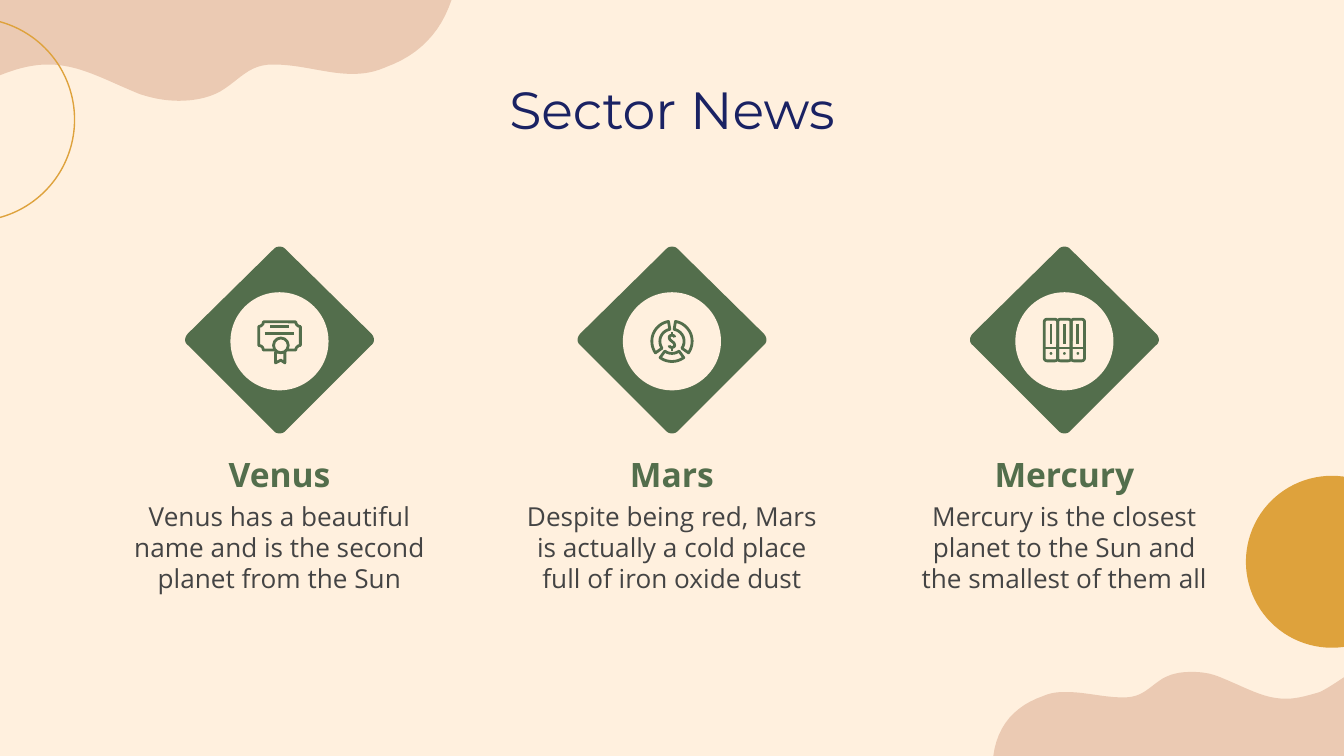
from math import cos, radians, sin
from typing import Callable, NamedTuple

from lxml import etree
from pptx import Presentation
from pptx.dml.color import RGBColor
from pptx.enum import shapes, text
from pptx.oxml.ns import qn
from pptx.util import Inches, Pt

COLORS = {"cream": "FFF0DE", "blush": "EBCAB3", "gold": "DEA23C",
          "green": "536E4C", "navy": "1A2263", "grey": "444444"}
STROKE = 1.5
KIND = shapes.MSO_SHAPE
Point = tuple[float, float]

TITLE = {"name": "Montserrat", "size": Pt(28), "bold": False}
HEADING = {"name": "Open Sans", "size": Pt(18), "bold": True}
BODY = {"name": "Open Sans", "size": Pt(14), "bold": False}


class Blob(NamedTuple):
    """A start point, then line ends (2 numbers) or cubic curves (6 numbers)."""
    start: Point
    segments: list[tuple[float, ...]]


class Planet(NamedTuple):
    name: str
    fact: str
    icon: Callable


BLOBS = [
    Blob((10, 5.63), [
        (10, 5.04), (9.94, 5.08, 9.88, 5.12, 9.82, 5.15),
        (9.72, 5.18, 9.64, 5.2, 9.57, 5.2), (9.4, 5.2, 9.28, 5.12, 9.08, 5.04),
        (9.01, 5.01, 8.94, 5, 8.87, 5), (8.79, 5, 8.72, 5.01, 8.65, 5.05),
        (8.54, 5.12, 8.5, 5.19, 8.36, 5.19), (8.21, 5.19, 8.08, 5.15, 7.94, 5.15),
        (7.88, 5.15, 7.83, 5.15, 7.76, 5.18), (7.56, 5.25, 7.42, 5.39, 7.39, 5.63)]),
    Blob((0, 0), [
        (0, 0.56), (0.15, 0.5, 0.26, 0.48, 0.36, 0.48),
        (0.59, 0.48, 0.77, 0.59, 1.04, 0.7), (1.13, 0.73, 1.23, 0.75, 1.33, 0.75),
        (1.44, 0.75, 1.55, 0.73, 1.64, 0.68), (1.79, 0.59, 1.85, 0.48, 2.03, 0.48),
        (2.25, 0.48, 2.43, 0.55, 2.62, 0.55), (2.7, 0.55, 2.78, 0.54, 2.87, 0.5),
        (3.12, 0.41, 3.28, 0.24, 3.36, 0)]),
]
DIAMOND = Blob((-0.04, -0.68), [
    (-0.68, -0.05), (-0.71, -0.02, -0.71, 0.02, -0.68, 0.04),
    (-0.04, 0.68), (-0.02, 0.7, 0.02, 0.7, 0.04, 0.68),
    (0.68, 0.04), (0.71, 0.02, 0.71, -0.02, 0.68, -0.05),
    (0.04, -0.68), (0.02, -0.7, -0.02, -0.7, -0.04, -0.68)])
DOLLAR = Blob((0.02, -0.03), [
    (0.02, -0.05, -0.02, -0.05, -0.02, -0.03),
    (-0.02, 0, 0.02, 0, 0.02, 0.03), (0.02, 0.05, -0.02, 0.05, -0.02, 0.03)])


def rgb(name: str) -> RGBColor:
    return RGBColor.from_string(COLORS[name])


def trace(blob: Blob, steps: int = 12) -> list[Point]:
    """Turn the curves of a blob into short straight steps."""
    pts = [blob.start]
    for seg in blob.segments:
        if len(seg) == 2:
            pts.append(seg)
            continue
        x0, y0 = pts[-1]
        x1, y1, x2, y2, x3, y3 = seg
        for t in (i / steps for i in range(1, steps + 1)):
            a, b, c, d = (1 - t)**3, 3 * t * (1 - t)**2, 3 * t * t * (1 - t), t**3
            pts.append((a * x0 + b * x1 + c * x2 + d * x3,
                        a * y0 + b * y1 + c * y2 + d * y3))
    return pts


def paint(sp, fill: str | None, line: str | None = None, width: float = STROKE):
    sp.shadow.inherit = False
    for part, color in ((sp.fill, fill), (sp.line.fill, line)):
        if color:
            part.solid()
            part.fore_color.rgb = rgb(color)
        else:
            part.background()
    if line:
        sp.line.width = Pt(width)


def outline(tree, pts: list[Point], cx: float = 0, cy: float = 0,
            fill: str | None = None, line: str | None = None, close: bool = True):
    pts = [(Inches(cx + x), Inches(cy + y)) for x, y in pts]
    builder = tree.build_freeform(*pts[0])
    builder.add_line_segments(pts[1:], close=close)
    paint(builder.convert_to_shape(), fill, line)


def preset(tree, kind, cx: float, cy: float, w: float, h: float,
           fill: str | None = None, line: str | None = None, width: float = STROKE):
    """Add a preset shape by its centre."""
    sp = tree.add_shape(kind, *map(Inches, (cx - w / 2, cy - h / 2, w, h)))
    paint(sp, fill, line, width)
    return sp


def stroke(tree, x1: float, y1: float, x2: float, y2: float):
    cn = tree.add_connector(shapes.MSO_CONNECTOR.STRAIGHT, *map(Inches, (x1, y1, x2, y2)))
    cn.line.color.rgb = rgb("green")
    cn.line.width = Pt(STROKE)
    etree.SubElement(cn._element.spPr, qn("a:effectLst"))


def certificate_icon(tree, cx: float, cy: float):
    preset(tree, KIND.PLAQUE, cx, cy - 0.04, 0.31, 0.21, line="green")
    ribbon = [(-0.03, 0.08), (-0.03, 0.16), (0.01, 0.14), (0.04, 0.16), (0.04, 0.08)]
    outline(tree, ribbon, cx, cy, "cream", "green")
    preset(tree, KIND.OVAL, cx + 0.01, cy + 0.03, 0.11, 0.11, "cream", "green")
    stroke(tree, cx - 0.07, cy - 0.11, cx + 0.07, cy - 0.11)
    stroke(tree, cx - 0.11, cy - 0.06, cx + 0.11, cy - 0.06)


def money_ring_icon(tree, cx: float, cy: float):
    outer, inner, steps = 0.15, 0.09, 16
    for start, end in ((145, 260), (280, 395), (54, 126)):
        angles = [radians(start + (end - start) * i / steps) for i in range(steps + 1)]
        ring = [(outer * cos(a), outer * sin(a)) for a in angles]
        ring += [(inner * cos(a), inner * sin(a)) for a in reversed(angles)]
        outline(tree, ring, cx, cy, line="green")
    outline(tree, trace(DOLLAR), cx, cy, line="green", close=False)
    for side in (-1, 1):
        stroke(tree, cx, cy + side * 0.04, cx, cy + side * 0.07)


def binders_icon(tree, cx: float, cy: float):
    for x in (cx - 0.1, cx, cx + 0.1):
        sp = preset(tree, KIND.ROUNDED_RECTANGLE, x, cy - 0.01, 0.1, 0.31, line="green")
        sp.adjustments[0] = 0.2
        stroke(tree, x, cy - 0.13, x, cy + 0.02)
        stroke(tree, x - 0.05, cy + 0.05, x + 0.05, cy + 0.05)
        preset(tree, KIND.OVAL, x, cy + 0.09, 0.02, 0.02, "green")


def write(sp, words: str, fmt: dict, color: str, anchor=text.MSO_ANCHOR.TOP):
    tf = sp.text_frame
    frame = {"word_wrap": True, "auto_size": text.MSO_AUTO_SIZE.NONE,
             "vertical_anchor": anchor}
    frame |= {f"margin_{side}": Inches(0.1) for side in ("left", "right", "top", "bottom")}
    for key, value in frame.items():
        setattr(tf, key, value)
    p = tf.paragraphs[0]
    p.alignment = text.PP_ALIGN.CENTER
    r = p.add_run()
    r.text = words
    for key, value in fmt.items():
        setattr(r.font, key, value)
    r.font.color.rgb = rgb(color)


def add_planet(tree, planet: Planet, cx: float):
    cy, w = 2.53, 2.47
    outline(tree, trace(DIAMOND), cx, cy, "green")
    preset(tree, KIND.OVAL, cx, cy + 0.01, 0.73, 0.73, "cream")
    planet.icon(tree.add_group_shape().shapes, cx, cy + 0.01)
    for top, h, words, fmt, color in (
            (3.28, 0.43, planet.name, HEADING, "green"),
            (3.62, 0.8, planet.fact, BODY, "grey")):
        box = tree.add_textbox(*map(Inches, (cx - w / 2, top, w, h)))
        write(box, words, fmt, color)


PLANETS = [
    Planet("Venus", "Venus has a beautiful name and is the second planet from the Sun",
           certificate_icon),
    Planet("Mars", "Despite being red, Mars is actually a cold place full of iron oxide dust",
           money_ring_icon),
    Planet("Mercury", "Mercury is the closest planet to the Sun and the smallest of them all",
           binders_icon),
]


def main():
    prs = Presentation()
    prs.slide_width = Inches(10)
    prs.slide_height = prs.slide_width * 9 // 16
    slide = prs.slides.add_slide(prs.slide_layouts.get_by_name("Title Only"))
    slide.background.fill.solid()
    slide.background.fill.fore_color.rgb = rgb("cream")
    tree = slide.shapes

    for blob in BLOBS:
        outline(tree, trace(blob), fill="blush")
    preset(tree, KIND.OVAL, 9.91, 4.18, 1.28, 1.28, "gold")
    preset(tree, KIND.OVAL, -0.2, 0.89, 1.51, 1.51, line="gold", width=0.75)

    title = tree.title
    for key, value in {"left": 0.78, "top": 0.49, "width": 8.44, "height": 0.63}.items():
        setattr(title, key, Inches(value))
    write(title, "Sector News", TITLE, "navy", text.MSO_ANCHOR.MIDDLE)

    for i, planet in enumerate(PLANETS):
        add_planet(tree, planet, 2.08 + 2.92 * i)
    prs.save("out.pptx")


if __name__ == "__main__":
    main()
